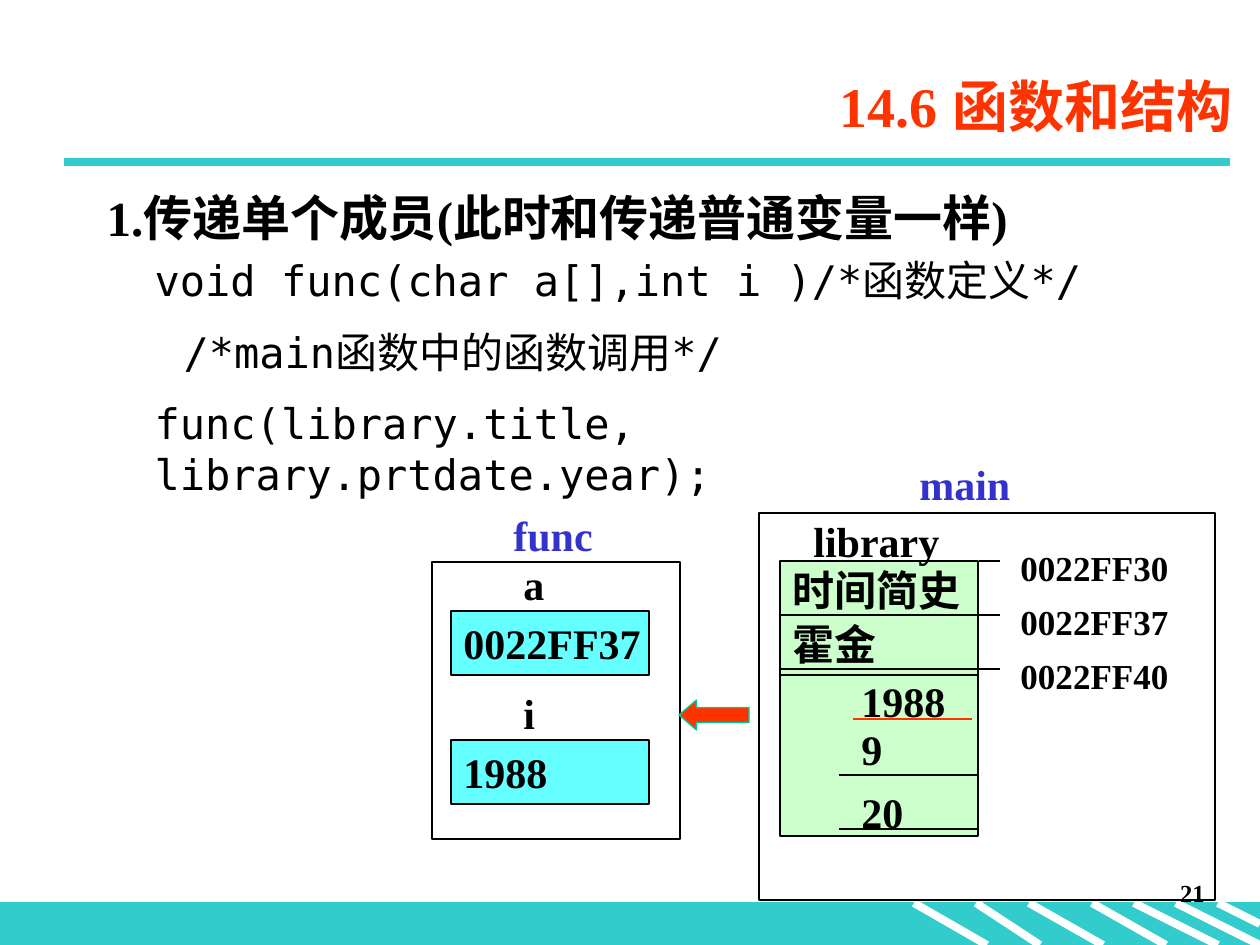
from pptx import Presentation
from pptx.dml.color import RGBColor
from pptx.enum.shapes import MSO_CONNECTOR, MSO_SHAPE
from pptx.enum.text import MSO_ANCHOR, MSO_AUTO_SIZE, PP_ALIGN
from pptx.oxml.ns import qn
from pptx.util import Pt
from lxml.etree import SubElement

SCALE = 914400 / 126
SERIF, MONO = "Times New Roman", "DejaVu Sans Mono"
BLACK = RGBColor(0x00, 0x00, 0x00)
WHITE = RGBColor(0xFF, 0xFF, 0xFF)
TEAL = RGBColor(0x33, 0xCC, 0xCC)
RED = RGBColor(0xFF, 0x33, 0x00)
BLUE = RGBColor(0x33, 0x33, 0xCC)
MINT = RGBColor(0xCC, 0xFF, 0xCC)
CYAN = RGBColor(0x66, 0xFF, 0xFF)
GREEN = RGBColor(0x00, 0xCC, 0x99)

TITLE = "14.6 函数和结构"
# text, size, font, bold, space before, left margin, first-line indent
BODY = [
    ("1.传递单个成员(此时和传递普通变量一样)", 28, SERIF, True, 0, 48, -48),
    ("void func(char a[],int i )/*函数定义*/", 24, MONO, False, 5, 48, 0),
    ("/*main函数中的函数调用*/", 24, MONO, False, 12, 77, 0),
    ("func(library.title, library.prtdate.year);", 24, MONO, False, 12, 48, 0),
]
# left end, right end, bottom
STRIPES = [(976, 1040, 945), (914, 987, 945), (1029, 1103, 945),
           (1176, 1260, 945), (1134, 1218, 945), (1218, 1260, 924),
           (1092, 1166, 945)]
FIELDS = [("时间简史", "0022FF30"), ("霍金", "0022FF37"), ("", "0022FF40")]
DATE = [("1988", 669), ("9", 717), ("20", 780)]
PARAMS = [("a", "0022FF37"), ("i", "1988")]


def px(n):
    return round(n * SCALE)


def style(para, size, color=BLACK, font=SERIF, bold=True):
    para.font.name, para.font.size = font, Pt(size)
    para.font.bold, para.font.color.rgb = bold, color


def write(shape, text, size=24, color=BLACK, align=PP_ALIGN.LEFT,
          anchor=MSO_ANCHOR.TOP):
    frame = shape.text_frame
    frame.word_wrap = True
    frame.auto_size = MSO_AUTO_SIZE.NONE
    frame.vertical_anchor = anchor
    frame.text = text
    para = frame.paragraphs[0]
    para.alignment = align
    style(para, size, color)


def place(shape, *box):
    shape.left, shape.top, shape.width, shape.height = map(px, box)


def label(text, *box, **look):
    write(slide.shapes.add_textbox(*map(px, box)), text, **look)


def block(box, fill=None, edge=BLACK, text="", kind=MSO_SHAPE.RECTANGLE):
    shape = slide.shapes.add_shape(kind, *map(px, box))
    shape.shadow.inherit = False
    if fill is None:
        shape.fill.background()
    else:
        shape.fill.solid()
        shape.fill.fore_color.rgb = fill
    shape.line.color.rgb, shape.line.width = edge, Pt(0.75)
    if text:
        shape.text_frame.margin_right = 0
        write(shape, text, anchor=MSO_ANCHOR.MIDDLE)
    return shape


def rule(x1, y1, x2, y2, color=BLACK, width=0.75):
    line = slide.shapes.add_connector(
        MSO_CONNECTOR.STRAIGHT, *map(px, (x1, y1, x2, y2)))
    line.line.color.rgb, line.line.width = color, Pt(width)
    SubElement(line._element.spPr, qn("a:effectLst"))


def fill_body(body):
    frame = body.text_frame
    frame.auto_size = MSO_AUTO_SIZE.NONE
    for i, (text, size, font, bold, gap, left, first) in enumerate(BODY):
        para = frame.paragraphs[0] if i == 0 else frame.add_paragraph()
        para.text = text
        para.space_before = Pt(gap)
        props = para._p.get_or_add_pPr()
        props.set("marL", str(px(left)))
        props.set("indent", str(px(first)))
        SubElement(props, qn("a:buNone"))
        style(para, size, font=font, bold=bold)


deck = Presentation()
deck.slide_width, deck.slide_height = px(1260), px(945)
slide = deck.slides.add_slide(deck.slide_layouts[1])

# Title, body and page frame
title, body = slide.placeholders
place(title, 174, 55, 1071, 100)
write(title, TITLE, 32, RED, PP_ALIGN.RIGHT, MSO_ANCHOR.MIDDLE)
place(body, 94, 181, 1071, 635)
fill_body(body)
block((0, 903, 1260, 42), TEAL, TEAL)
for x1, x2, low in STRIPES:
    rule(x1, 903, x2, low, WHITE, 4.5)
rule(64, 162, 1230, 162, TEAL, 4.5)
label("21", 955, 872, 262, 63, size=14, align=PP_ALIGN.RIGHT)

# The library structure in main
middle = dict(align=PP_ALIGN.CENTER, anchor=MSO_ANCHOR.MIDDLE)
for i, (name, address) in enumerate(FIELDS):
    y = 561 + 54 * i
    block((780, y, 198, 58), MINT, text=name)
    rule(979, y, 1000, y)
    label(address, 988, y - 21, 213, 54, size=20, **middle)
block((780, 675, 198, 161), MINT)
for y in (775, 829):
    rule(839, y, 979, y)
for text, y in DATE:
    label(text, 849, y, 129, 63)
label("library", 770, 509, 213, 63, **middle)
block((759, 513, 456, 387))
label("main", 907, 452, 139, 63, color=BLUE)

# The parameters of func
block((432, 562, 248, 277))
label("func", 501, 503, 129, 63, color=BLUE)
for i, (name, value) in enumerate(PARAMS):
    y = 611 + 129 * i
    label(name, 511, y - 59, 149, 63)
    block((451, y, 198, 64), CYAN, text=value)

arrow = block((679, 700, 70, 30), RED, GREEN, kind=MSO_SHAPE.LEFT_ARROW)
arrow.adjustments[0], arrow.adjustments[1] = 0.5, 0.58
rule(853, 719, 972, 719, RED)

deck.save("out.pptx")
